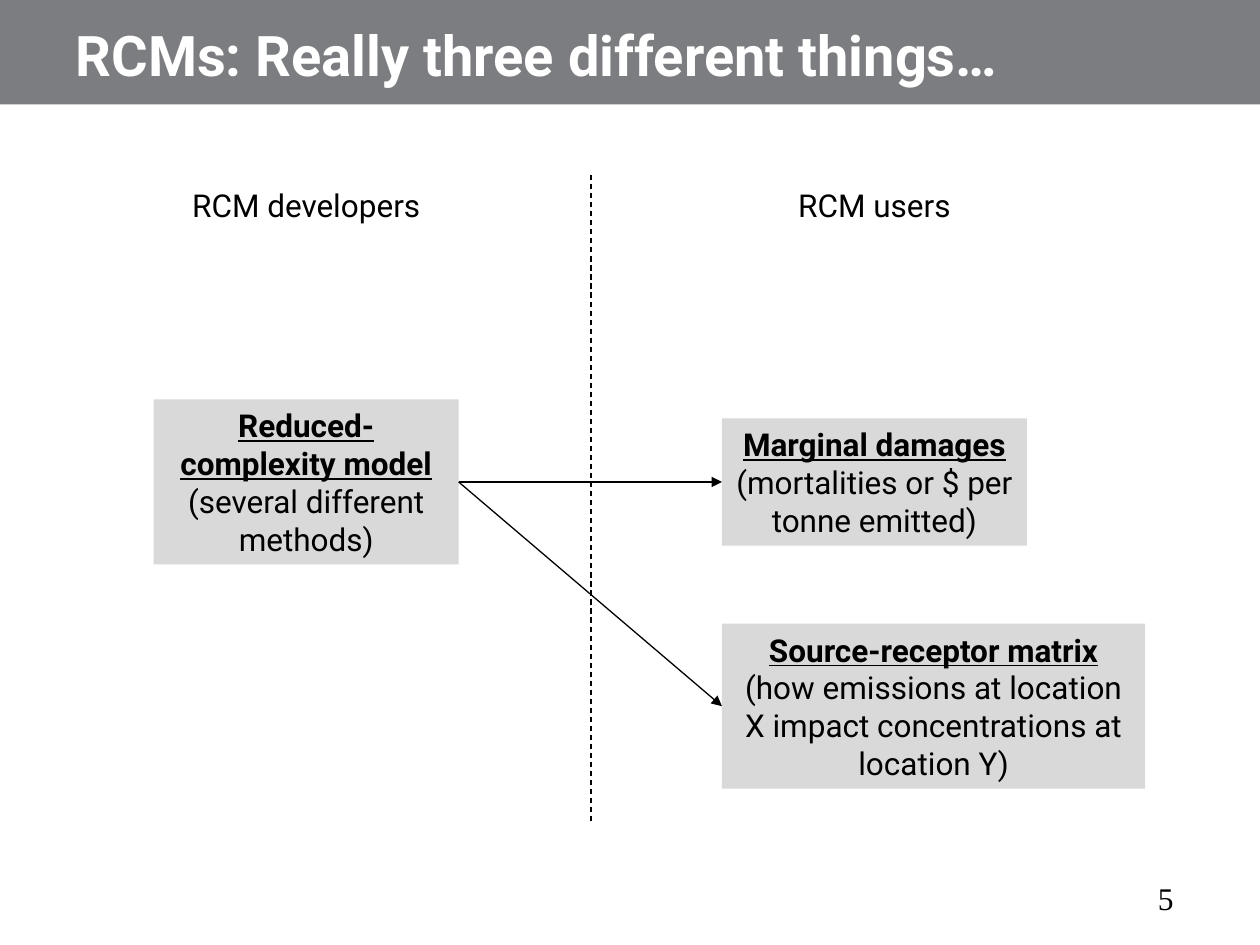
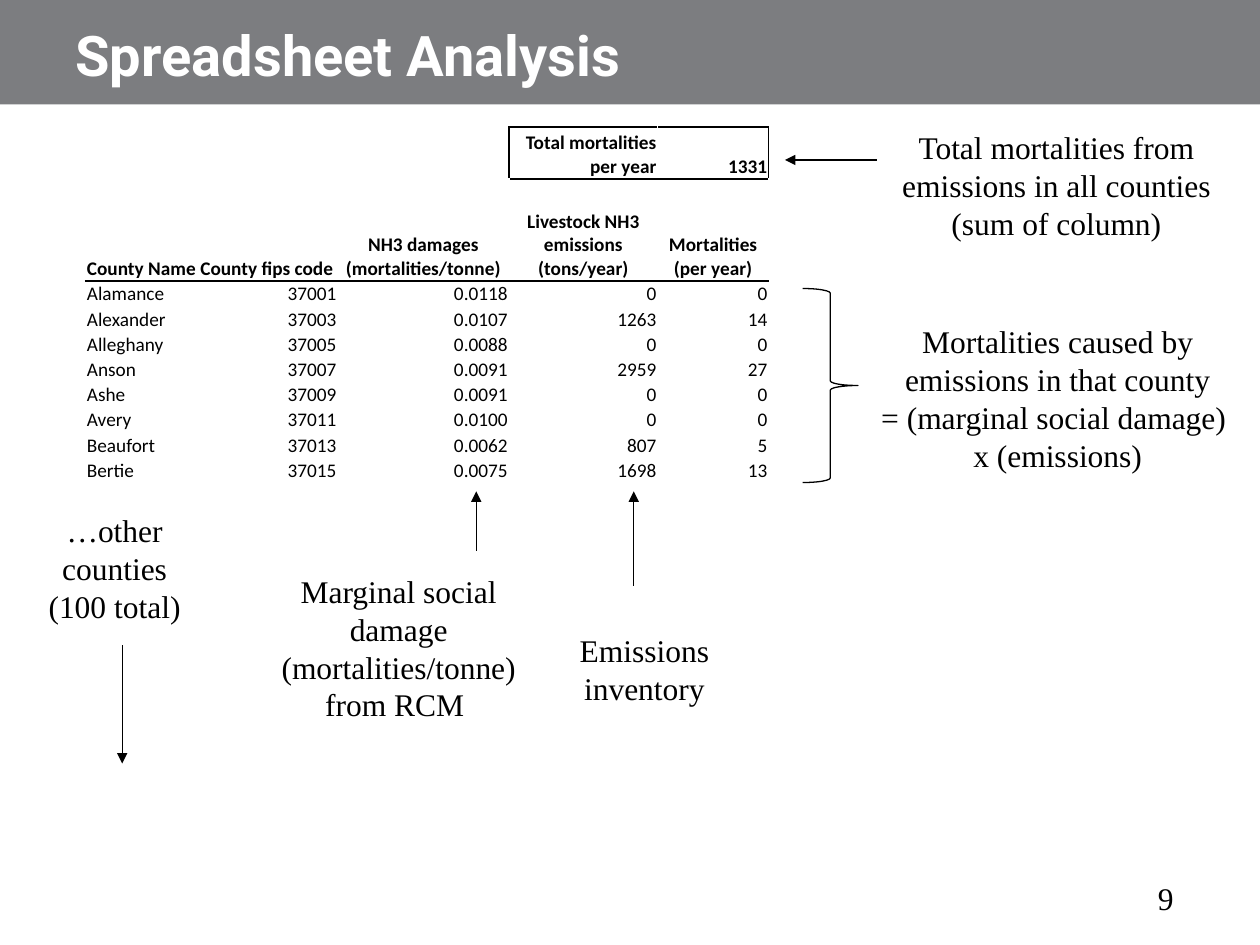
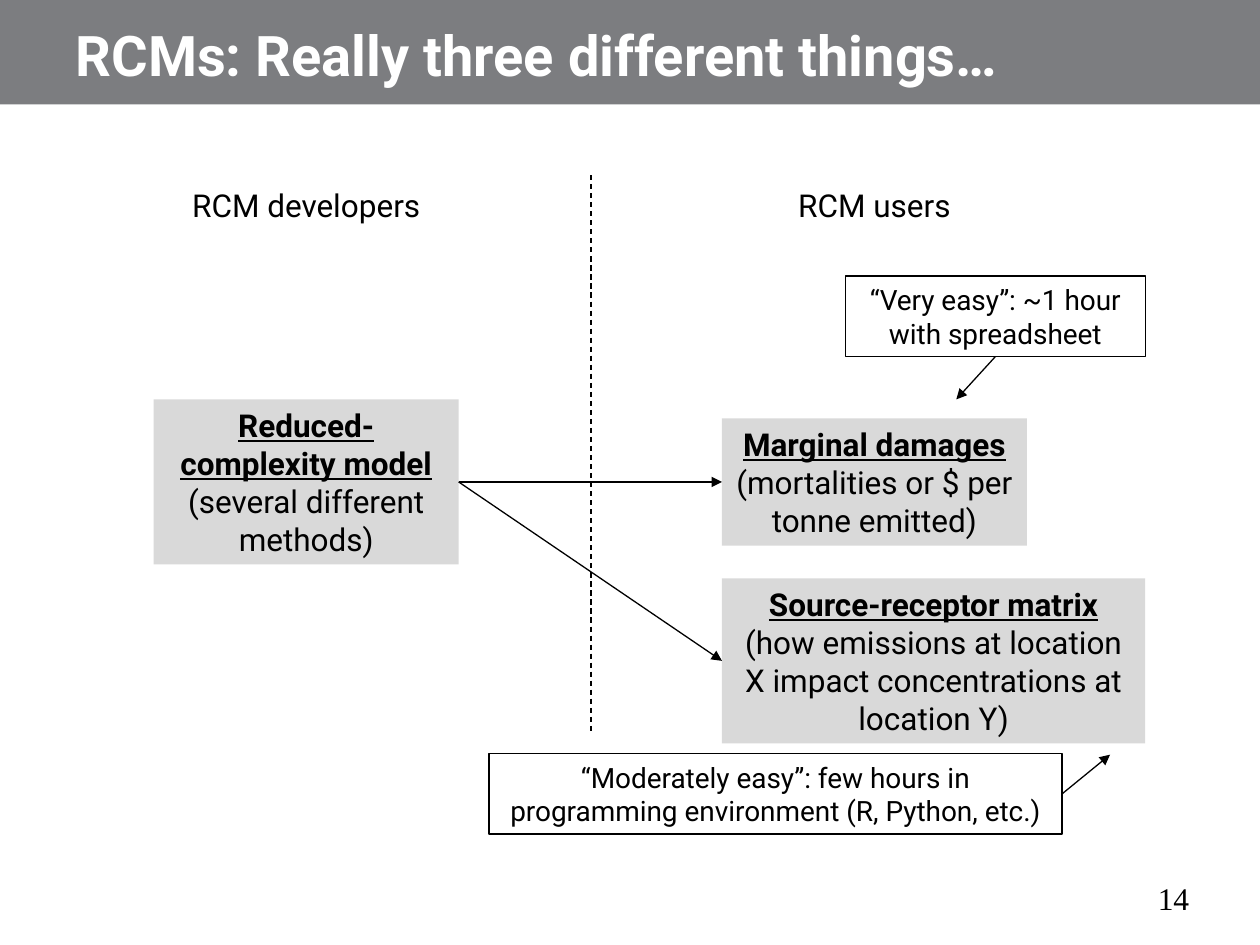
import pptx
import pptx.util
import pptx.dml.color
import pptx.enum.dml
import pptx.enum.shapes
import pptx.enum.text
import pptx.oxml.ns
import lxml.etree

Inches = pptx.util.Inches
Pt = pptx.util.Pt
ALIGN = pptx.enum.text.PP_ALIGN
ANCHOR = pptx.enum.text.MSO_ANCHOR
AUTO_SIZE = pptx.enum.text.MSO_AUTO_SIZE
SHAPE = pptx.enum.shapes.MSO_SHAPE
qn = pptx.oxml.ns.qn

COLORS = {"band": "7C7D80", "panel": "D9D9D9", "ink": "000000", "paper": "FFFFFF"}
SANS, SERIF, SHEET = "Roboto", "Times New Roman", "Calibri"
LEFT, BOTTOM, RIGHT = 1, 2, 3

COLUMN_WIDTHS = [0.9, 1.1, 1.36, 1.18, 0.88]
ROW_HEIGHTS = [0.41, 0.2, 0.61] + [0.2] * 8
TOTAL_ROW, GAP_ROW, HEADER_ROW = range(3)
COUNTY_ROWS = [
    ["", "", "", "Total mortalities per year", "1331"],
    [""] * 5,
    ["County Name", "County fips code", "NH3 damages (mortalities/tonne)",
     "Livestock NH3 emissions (tons/year)", "Mortalities (per year)"],
    ["Alamance", "37001", "0.0118", "0", "0"],
    ["Alexander", "37003", "0.0107", "1263", "14"],
    ["Alleghany", "37005", "0.0088", "0", "0"],
    ["Anson", "37007", "0.0091", "2959", "27"],
    ["Ashe", "37009", "0.0091", "0", "0"],
    ["Avery", "37011", "0.0100", "0", "0"],
    ["Beaufort", "37013", "0.0062", "807", "5"],
    ["Bertie", "37015", "0.0075", "1698", "13"],
]


def color(name):
    return pptx.dml.color.RGBColor.from_string(COLORS[name])


def county_alignment(row, column):
    if row == HEADER_ROW:
        return ALIGN.LEFT if column < 2 else ALIGN.CENTER
    return ALIGN.LEFT if column == 0 else ALIGN.RIGHT


def county_borders(row, column):
    if row == TOTAL_ROW:
        return {2: "R", 3: "LTB", 4: "RTB"}.get(column, "")
    if row == GAP_ROW:
        return "T" if column > 2 else ""
    return {HEADER_ROW: "B", HEADER_ROW + 1: "T"}.get(row, "")


class SlideBuilder:
    def __init__(self):
        self.deck = pptx.Presentation()
        self.deck.slide_width = Inches(10)
        self.deck.slide_height = Inches(7.5)
        self.layout = self.deck.slide_layouts[5]
        self.page = None

    def new_page(self, title, number):
        first = self.page is None
        self.page = self.deck.slides.add_slide(self.layout)
        if first:
            band = self.shape(SHAPE.RECTANGLE, 0, 0, 10, 0.83, fill="band")
            self.layout.shapes._spTree.insert(2, band._element)
        box = self.page.shapes.title
        box.left, box.top, box.width, box.height = map(Inches, (0.5, 0.08, 9, 0.67))
        box.text_frame.auto_size = AUTO_SIZE.NONE
        box.text_frame.vertical_anchor = ANCHOR.BOTTOM
        self.add_lines(box.text_frame, [title], SANS, 32, "paper", ALIGN.LEFT, bold=True)
        self.text(9.09, 6.93, 0.52, 0.4, [number], align=ALIGN.LEFT)

    def add_lines(self, frame, lines, font, size, ink="ink", align=ALIGN.CENTER,
                  bold=False, heading=False):
        for index, line in enumerate(lines):
            para = frame.paragraphs[0] if index == 0 else frame.add_paragraph()
            para.alignment = align
            span = para.add_run()
            span.text = line
            span.font.name = font
            span.font.size = Pt(size)
            span.font.color.rgb = color(ink)
            is_heading = heading and index == 0
            span.font.bold = bold or is_heading
            span.font.underline = is_heading

    def text(self, left, top, width, height, lines, font=SERIF, align=ALIGN.CENTER):
        box = self.page.shapes.add_textbox(*map(Inches, (left, top, width, height)))
        box.text_frame.word_wrap = True
        self.add_lines(box.text_frame, lines, font, 18, align=align)

    def shape(self, kind, left, top, width, height, fill=None, outline=False):
        shape = self.page.shapes.add_shape(kind, *map(Inches, (left, top, width, height)))
        shape.shadow.inherit = False
        if fill:
            shape.fill.solid()
            shape.fill.fore_color.rgb = color(fill)
        else:
            shape.fill.background()
        if outline:
            shape.line.color.rgb = color("ink")
            shape.line.width = Pt(0.75)
        else:
            shape.line.fill.background()
        return shape

    def panel(self, left, top, width, height, lines):
        box = self.shape(SHAPE.RECTANGLE, left, top, width, height, fill="panel")
        box.text_frame.word_wrap = True
        self.add_lines(box.text_frame, lines, SANS, 18, heading=True)
        return box

    def callout(self, left, top, width, height, line):
        box = self.shape(SHAPE.RECTANGLE, left, top, width, height, outline=True)
        box.text_frame.word_wrap = True
        self.add_lines(box.text_frame, [line], SANS, 16)
        return box

    def line(self, start, end, arrow=True, begin=None, finish=None):
        connector = self.page.shapes.add_connector(
            pptx.enum.shapes.MSO_CONNECTOR.STRAIGHT, *map(Inches, start + end))
        connector.line.color.rgb = color("ink")
        connector.line.width = Pt(0.75)
        if arrow:
            lxml.etree.SubElement(connector.line._get_or_add_ln(), qn("a:tailEnd"),
                                  type="triangle")
        else:
            connector.line.dash_style = pptx.enum.dml.MSO_LINE.DASH
        lxml.etree.SubElement(connector._element.spPr, qn("a:effectLst"))
        if begin:
            connector.begin_connect(*begin)
        if finish:
            connector.end_connect(*finish)

    def border(self, cell, sides):
        properties = cell._tc.get_or_add_tcPr()
        for side in sides:
            edge = lxml.etree.SubElement(properties, qn("a:ln" + side), w=str(Pt(1)))
            fill = lxml.etree.SubElement(edge, qn("a:solidFill"))
            lxml.etree.SubElement(fill, qn("a:srgbClr"), val=COLORS["ink"])

    def county_table(self, left, top):
        frame = self.page.shapes.add_table(
            len(ROW_HEIGHTS), len(COLUMN_WIDTHS), Inches(left), Inches(top),
            Inches(sum(COLUMN_WIDTHS)), Inches(sum(ROW_HEIGHTS)))
        table = frame.table
        table.first_row = table.horz_banding = False
        for column, width in zip(table.columns, COLUMN_WIDTHS):
            column.width = Inches(width)
        for row, height in zip(table.rows, ROW_HEIGHTS):
            row.height = Inches(height)
        for row, values in enumerate(COUNTY_ROWS):
            for column, value in enumerate(values):
                cell = table.cell(row, column)
                cell.margin_left = cell.margin_right = cell.margin_top = Inches(0.01)
                cell.margin_bottom = 0
                cell.vertical_anchor = ANCHOR.BOTTOM
                self.border(cell, county_borders(row, column))
                cell.fill.background()
                if value:
                    self.add_lines(cell.text_frame, [value], SHEET, 11,
                                   align=county_alignment(row, column),
                                   bold=row <= HEADER_ROW)
                else:
                    lxml.etree.SubElement(cell.text_frame.paragraphs[0]._p,
                                          qn("a:endParaRPr"), sz="1100")

    def model_diagram(self, number, matrix_top, divider_bottom):
        self.new_page("RCMs: Really three different things…", number)
        model = self.panel(1.22, 3.17, 2.42, 1.31,
                           ["Reduced-complexity model", "(several different methods)"])
        damages = self.panel(5.73, 3.32, 2.42, 1.01,
                             ["Marginal damages", "(mortalities or $ per tonne emitted)"])
        matrix = self.panel(5.73, matrix_top, 3.36, 1.31,
                            ["Source-receptor matrix",
                             "(how emissions at location X impact concentrations at location Y)"])
        self.line((4.69, 1.39), (4.69, divider_bottom), arrow=False)
        self.text(1.19, 1.43, 2.48, 0.4, ["RCM developers"], SANS)
        self.text(5.7, 1.43, 2.48, 0.4, ["RCM users"], SANS)
        for target, middle in ((damages, 3.83), (matrix, matrix_top + 0.66)):
            self.line((3.64, 3.83), (5.73, middle),
                      begin=(model, RIGHT), finish=(target, LEFT))

    def spreadsheet(self):
        self.new_page("Spreadsheet Analysis", "9")
        self.text(4.13, 4.96, 1.97, 0.71, ["Emissions inventory"])
        self.text(1.93, 4.49, 2.47, 1.31,
                  ["Marginal social damage (mortalities/tonne) from RCM "])
        self.text(6.81, 2.51, 3.17, 1.31,
                  ["Mortalities caused by emissions in that county",
                   "= (marginal social damage) ", "x (emissions)"])
        self.shape(SHAPE.RIGHT_BRACE, 6.37, 2.29, 0.44, 1.54, outline=True)
        self.county_table(0.68, 1.01)
        self.text(7.05, 0.97, 2.67, 1.01,
                  ["Total mortalities from emissions in all counties (sum of column)"])
        self.text(0.16, 4.01, 1.5, 1.01, ["…other counties (100 total)"])
        for start, end in (((5.03, 4.65), (5.03, 3.9)), ((3.78, 4.37), (3.78, 3.9)),
                           ((6.96, 1.27), (6.23, 1.27)), ((0.97, 5.12), (0.97, 6.06))):
            self.line(start, end)

    def effort_callouts(self):
        easy = self.callout(6.71, 2.19, 2.38, 0.64, "“Very easy”: ~1 hour with spreadsheet")
        self.line((7.9, 2.83), (7.59, 3.17), begin=(easy, BOTTOM))
        moderate = self.callout(
            3.88, 5.98, 4.55, 0.64,
            "“Moderately easy”: few hours in programming environment (R, Python, etc.)")
        self.line((8.43, 6.3), (8.81, 5.99), begin=(moderate, RIGHT))


def main():
    builder = SlideBuilder()
    builder.model_diagram("5", matrix_top=4.95, divider_bottom=6.52)
    builder.spreadsheet()
    builder.model_diagram("14", matrix_top=4.59, divider_bottom=5.81)
    builder.effort_callouts()
    builder.deck.save("out.pptx")


if __name__ == "__main__":
    main()
